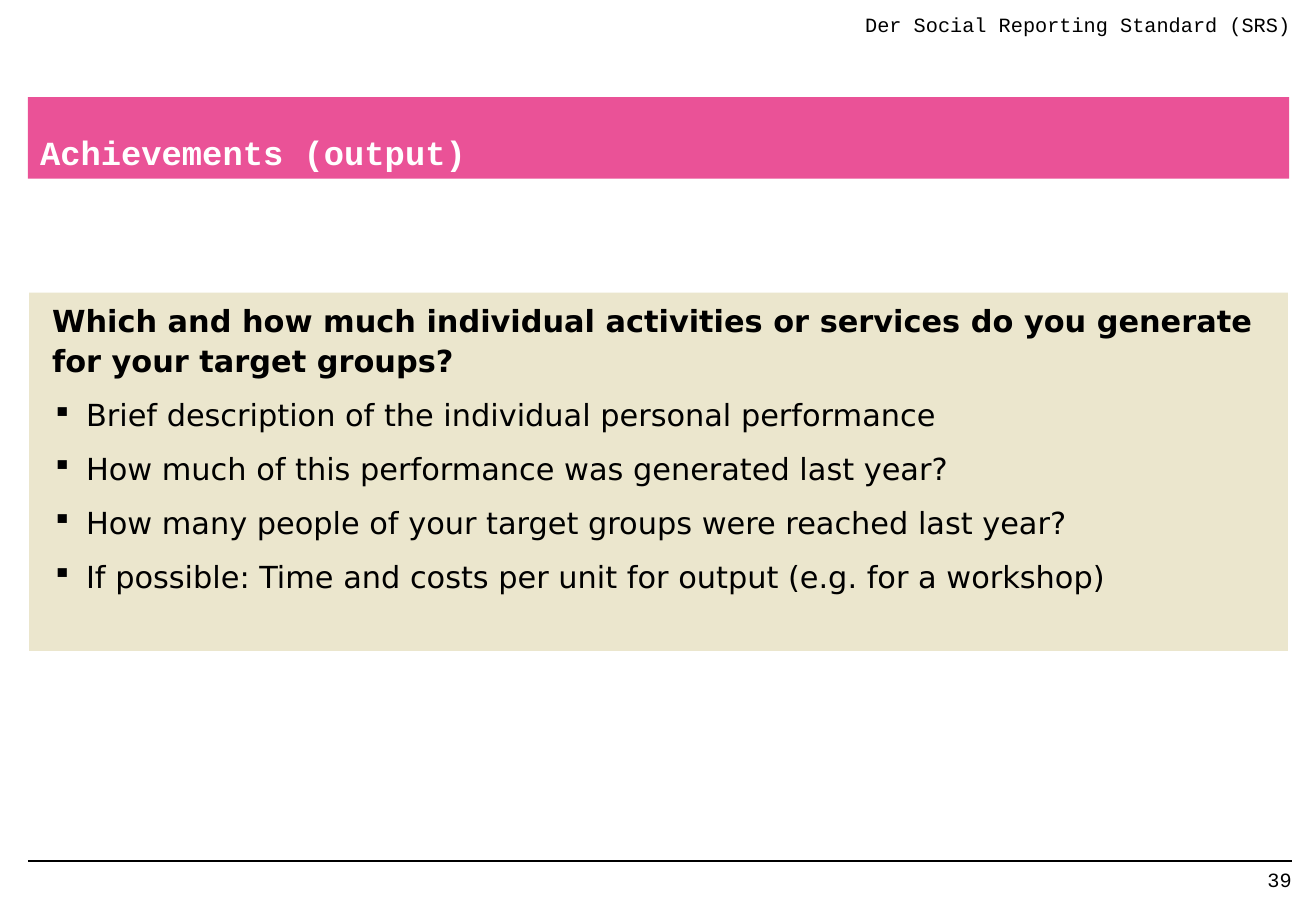
import pptx
import pptx.dml.color
import pptx.enum.shapes
import pptx.enum.text
import pptx.oxml
import pptx.oxml.ns
import pptx.util
from lxml import etree

Inches = pptx.util.Inches
Pt = pptx.util.Pt
Align = pptx.enum.text.PP_ALIGN
Anchor = pptx.enum.text.MSO_ANCHOR

COLORS = {"pink": "EA5297", "sand": "EBE6CD", "ink": "000000", "white": "FFFFFF"}
MONO = "Courier New"
SANS = "DejaVu Sans"
LEAD = ("Which and how much individual activities or services do you generate "
        "for your target groups?")
POINTS = [
    "Brief description of the individual personal performance",
    "How much of this performance was generated last year?",
    "How many people of your target groups were reached last year?",
    "If possible: Time and costs per unit for output (e.g. for a workshop)",
]


def rgb(name):
    """Return the named colour."""
    return pptx.dml.color.RGBColor.from_string(COLORS[name])


def paint(shape, color):
    """Fill a shape with one colour and drop its outline."""
    shape.fill.solid()
    shape.fill.fore_color.rgb = rgb(color)
    shape.line.fill.background()


def place(shape, box):
    """Move a shape to a box of left, top, width and height."""
    shape.left, shape.top, shape.width, shape.height = map(Inches, box)


def style(para, face, size, color="ink", bold=False, align=Align.LEFT):
    """Format a paragraph and its runs."""
    para.alignment = align
    for run in para.runs:
        font = run.font
        font.name, font.size, font.bold = face, Pt(size), bold
        font.color.rgb = rgb(color)


def indent(para, left, hang=0):
    """Set the left margin and hanging indent of a paragraph."""
    props = para._p.get_or_add_pPr()
    props.set("marL", str(Inches(left)))
    props.set("indent", str(Inches(-hang)))
    return props


def bullet(para):
    """Give a paragraph a small square bullet."""
    props = indent(para, 0.37, 0.28)
    for tag, key, val in (("a:buSzPct", "val", "90000"), ("a:buChar", "char", "▪")):
        etree.SubElement(props, pptx.oxml.ns.qn(tag)).set(key, val)


def add_title(slide, box, text):
    """Place the title on its coloured band."""
    title = slide.shapes.title
    place(title, box)
    paint(title, "pink")
    frame = title.text_frame
    frame.text = text
    frame.auto_size = pptx.enum.text.MSO_AUTO_SIZE.NONE
    frame.vertical_anchor = Anchor.BOTTOM
    style(frame.paragraphs[0], MONO, 20, "white", True)


def add_label(slide, box, text):
    """Add a small right-aligned label."""
    label = slide.shapes.add_textbox(*map(Inches, box))
    frame = label.text_frame
    frame.word_wrap = True
    frame.margin_right = 0
    frame.text = text
    style(frame.paragraphs[0], MONO, 12, align=Align.RIGHT)


def add_panel(slide, box, lead, points):
    """Add the panel with a lead question and its bullet points."""
    kind = pptx.enum.shapes.MSO_SHAPE.RECTANGLE
    panel = slide.shapes.add_shape(kind, *map(Inches, box))
    panel.shadow.inherit = False
    paint(panel, "sand")
    frame = panel.text_frame
    frame.word_wrap = True
    frame.vertical_anchor = Anchor.TOP
    head = frame.paragraphs[0]
    head.text = lead
    indent(head, 0.09)
    head.line_spacing, head.space_after = 1.1, Pt(3)
    style(head, SANS, 18, bold=True)
    for point in points:
        para = frame.add_paragraph()
        para.text = point
        bullet(para)
        para.line_spacing = 1.2
        para.space_before = para.space_after = Pt(3)
        style(para, SANS, 18)


def add_footer(slide, box, number):
    """Add the bottom rule and the page number under it."""
    left, top, width, height = box
    kind = pptx.enum.shapes.MSO_CONNECTOR.STRAIGHT
    ends = map(Inches, (left, top, left + width, top))
    rule = slide.shapes.add_connector(kind, *ends)
    rule.line.color.rgb = rgb("ink")
    rule.line.width = Pt(1)
    etree.SubElement(rule._element.spPr, pptx.oxml.ns.qn("a:effectLst"))
    wide = 2.53
    add_label(slide, (left + width - wide, top, wide, height), number)


def main():
    """Build the slide and save it."""
    deck = pptx.Presentation()
    deck.slide_width, deck.slide_height = Inches(10.83), Inches(7.5)
    slide = deck.slides.add_slide(deck.slide_layouts.get_by_name("Title Only"))
    add_footer(slide, (0.23, 7.09, 10.4, 0.31), "39")
    add_title(slide, (0.23, 0.8, 10.38, 0.67), "Achievements (output)")
    add_label(slide, (5.42, 0.05, 5.2, 0.4), "Der Social Reporting Standard (SRS)")
    add_panel(slide, (0.24, 2.41, 10.36, 2.95), LEAD, POINTS)
    deck.save("out.pptx")


if __name__ == "__main__":
    main()
